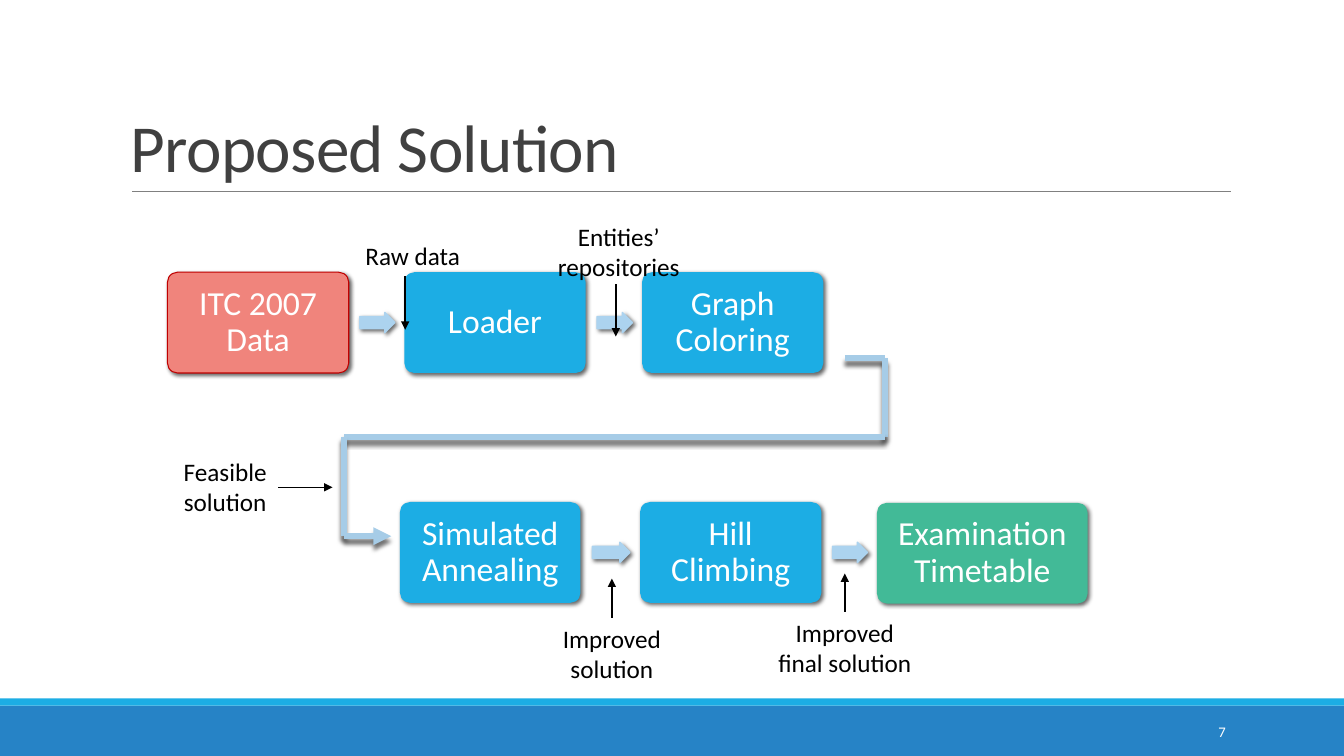
from dataclasses import dataclass
from itertools import pairwise

from lxml import etree
from pptx import Presentation
from pptx.dml.color import RGBColor
from pptx.enum.shapes import MSO_CONNECTOR, MSO_SHAPE
from pptx.enum.text import MSO_ANCHOR, PP_ALIGN
from pptx.oxml.ns import qn
from pptx.shapes.autoshape import Shape
from pptx.shapes.connector import Connector
from pptx.slide import Slide
from pptx.util import Cm, Pt

STRAIGHT = MSO_CONNECTOR.STRAIGHT
RECTANGLE, ROUNDED, ARROW = MSO_SHAPE.RECTANGLE, MSO_SHAPE.ROUNDED_RECTANGLE, MSO_SHAPE.RIGHT_ARROW
TOP, MIDDLE, BOTTOM = MSO_ANCHOR.TOP, MSO_ANCHOR.MIDDLE, MSO_ANCHOR.BOTTOM
LEFT, CENTER, RIGHT = PP_ALIGN.LEFT, PP_ALIGN.CENTER, PP_ALIGN.RIGHT
SIDE_TOP, SIDE_RIGHT = 0, 3

Point = tuple[float, float]
Frame = tuple[float, float, float, float]


@dataclass(frozen=True)
class Theme:
    font: str = "Calibri"
    white: str = "FFFFFF"
    black: str = "000000"
    title: str = "404040"
    rule: str = "808080"
    footer: str = "2683C6"
    step: str = "1CADE4"
    source: str = "F0847C"
    source_edge: str = "C00000"
    result: str = "42BA97"
    arrow: str = "ACD3EF"
    path_line: str = "A6CCE7"
    title_size: float = 48
    stage_size: float = 24
    label_size: float = 18
    number_size: float = 10.5


@dataclass(frozen=True)
class Shadow:
    """Opacity in percent, blur and distance in points, angle in degrees."""
    opacity: int
    blur: int
    distance: int
    angle: int


@dataclass(frozen=True)
class Stage:
    text: str
    left: float
    top: float
    width: float
    fill: str
    edge: str | None = None


@dataclass(frozen=True)
class Label:
    """A caption whose pointer leaves from one of its sides or from a free point."""
    text: str
    frame: Frame
    tip: Point
    start: Point | int


THEME = Theme()
STAGE_SHADOW = Shadow(60, 3, 2, 45)
PATH_SHADOW = Shadow(54, 3, 4, 90)
STAGE_HEIGHT, ARROW_HEIGHT = 2.54, 0.51
ARROW_OFFSET, ARROW_SHARE = 0.2, 0.63

STAGE_ROWS = (
    (
        Stage("ITC 2007 Data", 4.22, 6.86, 4.57, THEME.source, THEME.source_edge),
        Stage("Loader", 10.19, 6.86, 4.57, THEME.step),
        Stage("Graph Coloring", 16.18, 6.86, 4.57, THEME.step),
    ),
    (
        Stage("Simulated Annealing", 10.08, 12.65, 4.55, THEME.step),
        Stage("Hill Climbing", 16.13, 12.65, 4.57, THEME.step),
        Stage("Examination Timetable", 22.1, 12.67, 5.31, THEME.result),
    ),
)
RETURN_PATH = ((21.29, 9.02), (22.3, 9.02), (22.3, 11), (8.66, 11), (8.66, 13.51), (9.86, 13.51))
LABELS = (
    Label("Raw data", (8.94, 5.94, 2.92, 1.02), (10.21, 8.31), (10.21, 6.96)),
    Label("Entities’\nrepositories", (13.79, 5.44, 3.61, 1.8), (15.52, 8.48), (15.52, 7.16)),
    Label("Feasible\nsolution", (4.34, 11.38, 2.67, 1.8), (8.38, 12.28), SIDE_RIGHT),
    Label("Improved\nsolution", (13.92, 15.57, 3, 1.8), (15.42, 14.58), SIDE_TOP),
    Label("Improved\nfinal solution", (19.29, 15.42, 4, 1.8), (21.29, 14.45), SIDE_TOP),
)


def cast_shadow(item: Shape | Connector, shadow: Shadow) -> None:
    """Fill the item's empty effect list with an outer shadow."""
    effects = item.element.spPr.find(qn("a:effectLst"))
    outer = etree.SubElement(
        effects, qn("a:outerShdw"), blurRad=str(Pt(shadow.blur)), dist=str(Pt(shadow.distance)),
        dir=str(shadow.angle * 60000), algn="ctr", rotWithShape="0")
    color = etree.SubElement(outer, qn("a:srgbClr"), val=THEME.black)
    etree.SubElement(color, qn("a:alpha"), val=str(shadow.opacity * 1000))


def write(box: Shape, text: str, *, size: float, color: str, align: PP_ALIGN = CENTER,
          anchor: MSO_ANCHOR = MIDDLE, line_spacing: float = 1.0, wrap: bool = True,
          tracking: float = 0) -> None:
    """Set text, one paragraph a line; tracking is in points."""
    frame = box.text_frame
    frame.text = text
    frame.word_wrap = wrap
    frame.vertical_anchor = anchor
    for para in frame.paragraphs:
        para.alignment = align
        para.line_spacing = line_spacing
        for span in para.runs:
            span.font.name = THEME.font
            span.font.size = Pt(size)
            span.font.color.rgb = RGBColor.from_string(color)
    if tracking:
        for properties in box.element.iter(qn("a:rPr")):
            properties.set("spc", str(round(tracking * 100)))


def add_text(page: Slide, text: str, frame: Frame, **text_format) -> Shape:
    box = page.shapes.add_textbox(*map(Cm, frame))
    write(box, text, **text_format)
    return box


def add_block(page: Slide, kind: MSO_SHAPE, frame: Frame, fill: str,
              edge: str | None = None, edge_width: float = 1) -> Shape:
    block = page.shapes.add_shape(kind, *map(Cm, frame))
    block.shadow.inherit = False
    block.fill.solid()
    block.fill.fore_color.rgb = RGBColor.from_string(fill)
    if edge:
        block.line.color.rgb = RGBColor.from_string(edge)
        block.line.width = Pt(edge_width)
    else:
        block.line.fill.background()
    return block


def add_line(page: Slide, start: Point, end: Point, color: str, width: float,
             arrowhead: bool = False) -> Connector:
    line = page.shapes.add_connector(STRAIGHT, *map(Cm, (*start, *end)))
    line.line.color.rgb = RGBColor.from_string(color)
    line.line.width = Pt(width)
    properties = line.element.spPr
    if arrowhead:
        etree.SubElement(properties.find(qn("a:ln")), qn("a:tailEnd"), type="triangle")
    etree.SubElement(properties, qn("a:effectLst"))
    return line


def add_return_path(page: Slide) -> None:
    for start, end in pairwise(RETURN_PATH):
        line = add_line(page, start, end, THEME.path_line, 4.25, end == RETURN_PATH[-1])
        cast_shadow(line, PATH_SHADOW)


def add_stage(page: Slide, stage: Stage) -> None:
    box = add_block(page, ROUNDED, (stage.left, stage.top, stage.width, STAGE_HEIGHT),
                    stage.fill, stage.edge, 0.75)
    box.adjustments[0] = 0.1
    cast_shadow(box, STAGE_SHADOW)
    write(box, stage.text, size=THEME.stage_size, color=THEME.white, line_spacing=0.9)


def add_stage_arrow(page: Slide, before: Stage, after: Stage) -> None:
    """Place a block arrow in the gap between two neighbouring stages."""
    right = before.left + before.width
    gap = after.left - right
    top = before.top + (STAGE_HEIGHT - ARROW_HEIGHT) / 2
    arrow = add_block(page, ARROW, (right + gap * ARROW_OFFSET, top, gap * ARROW_SHARE, ARROW_HEIGHT),
                      THEME.arrow, THEME.arrow)
    arrow.adjustments[0], arrow.adjustments[1] = 0.6, 0.5
    cast_shadow(arrow, STAGE_SHADOW)


def add_label(page: Slide, label: Label) -> None:
    box = add_text(page, label.text, label.frame, size=THEME.label_size, color=THEME.black,
                   anchor=TOP, wrap=False)
    joined = isinstance(label.start, int)
    start = label.tip if joined else label.start
    pointer = add_line(page, start, label.tip, THEME.black, 1, True)
    if joined:
        pointer.begin_connect(box, label.start)


def main() -> None:
    deck = Presentation()
    deck.slide_width, deck.slide_height = Cm(33.87), Cm(19.05)
    page = deck.slides.add_slide(deck.slide_layouts[6])

    add_block(page, RECTANGLE, (0, 17.78, 33.87, 1.27), THEME.footer)
    add_block(page, RECTANGLE, (0, 17.6, 33.87, 0.18), THEME.step)
    add_line(page, (3.33, 4.83), (31.01, 4.83), THEME.rule, 0.5)
    add_return_path(page)
    add_text(page, "Proposed Solution", (3.05, 0.79, 27.94, 4.04), size=THEME.title_size,
             color=THEME.title, align=LEFT, anchor=BOTTOM, line_spacing=0.85, tracking=-0.5)
    for row in STAGE_ROWS:
        for stage in row:
            add_stage(page, stage)
        for before, after in pairwise(row):
            add_stage_arrow(page, before, after)
    add_text(page, "7", (27.51, 17.93, 3.63, 1.02), size=THEME.number_size,
             color=THEME.white, align=RIGHT)
    for label in LABELS:
        add_label(page, label)
    deck.save("out.pptx")


if __name__ == "__main__":
    main()
